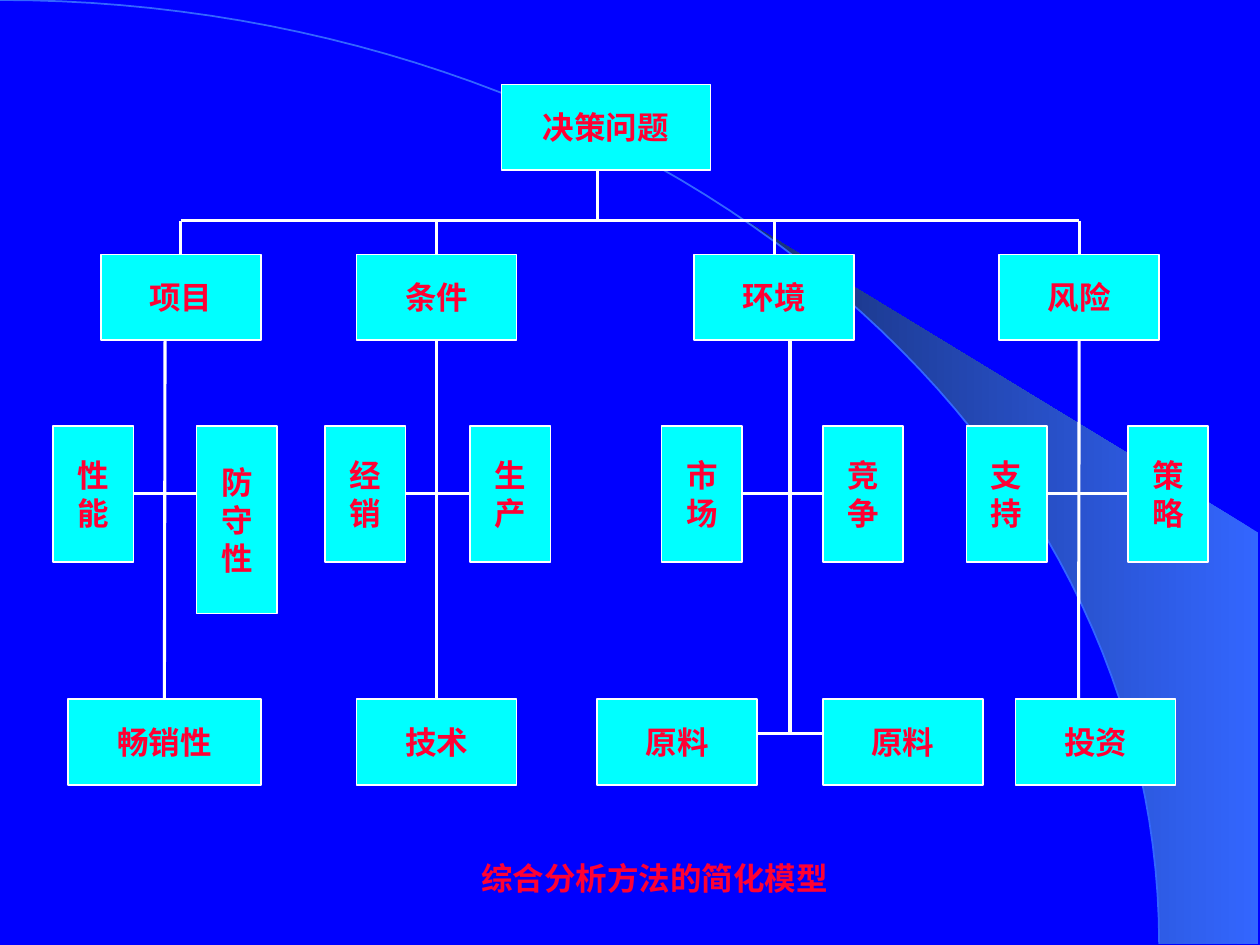
"""Builds a decision-model tree slide on a blue background with a curved sweep."""
from math import asin, cos, pi, sin

from lxml import etree
from pptx import Presentation
from pptx.dml.color import RGBColor
from pptx.enum.shapes import MSO_CONNECTOR, MSO_SHAPE
from pptx.enum.text import MSO_ANCHOR, PP_ALIGN
from pptx.oxml.ns import qn
from pptx.util import Inches, Pt

RECT, STRAIGHT = MSO_SHAPE.RECTANGLE, MSO_CONNECTOR.STRAIGHT
MIDDLE, CENTER = MSO_ANCHOR.MIDDLE, PP_ALIGN.CENTER

BLUE, SWEEP, DARK = "0000FF", "3366FF", "172F75"
CYAN, WHITE, RED = "00FFFF", "FFFFFF", "FF0033"
FONT = {"name": "Times New Roman", "size": Pt(18), "bold": True}
ARC_W, ARC_H, WEDGE_X = 9.2, 7.49, 5.89
WEDGE_RIGHT = [(9.99, 7.49), (9.99, 4.23)]

CAPTION = "综合分析方法的简化模型"
ROOT = ("决策问题", 3.98, 0.67, 1.66, 0.68)
FACTORS = [("项目", 0.8), ("条件", 2.83), ("环境", 5.51), ("风险", 7.93)]
ASPECTS = [("性能", 0.42), ("防守性", 1.56), ("经销", 2.58), ("生产", 3.73),
           ("市场", 5.25), ("竞争", 6.53), ("支持", 7.67), ("策略", 8.95)]
RESULTS = [("畅销性", 0.54, 1.53), ("技术", 2.83, 1.27), ("原料", 4.74, 1.27),
           ("原料", 6.53, 1.27), ("投资", 8.06, 1.27)]
SPINES = [(1.31, 5.55), (3.47, 5.55), (6.27, 5.82), (8.56, 5.55)]
BOX_W, BOX_H, TALL_W = 1.27, 0.68, 0.64
FACTOR_Y, ASPECT_Y, RESULT_Y = 2.02, 3.38, 5.55
ROOT_X, BUS_Y, CROSS_Y, RESULT_LINK_Y = 4.74, 1.75, 3.92, 5.82
TALL_HEIGHTS = {2: 1.08, 3: 1.49}
SNAP = Inches(0.02)

prs = Presentation()
prs.slide_width, prs.slide_height = Inches(10), Inches(7.5)
s = prs.slides.add_slide(prs.slide_layouts[6])
boxes = []


def rgb(value):
    return RGBColor.from_string(value)


def set_line(shape, color, width):
    shape.line.color.rgb = rgb(color)
    shape.line.width = Pt(width)


def write(tf, lines):
    for i, text in enumerate(lines):
        p = tf.paragraphs[0] if i == 0 else tf.add_paragraph()
        p.alignment = CENTER
        r = p.add_run()
        r.text = text
        for key, value in FONT.items():
            setattr(r.font, key, value)
        r.font.color.rgb = rgb(RED)


def arc(start, steps=60):
    angles = [start + (pi / 2 - start) * i / steps for i in range(steps + 1)]
    return [(ARC_W * sin(a), ARC_H * (1 - cos(a))) for a in angles]


def outline(points, close):
    pts = [(Inches(x), Inches(y)) for x, y in points]
    builder = s.shapes.build_freeform(*pts[0])
    builder.add_line_segments(pts[1:], close=close)
    sp = builder.convert_to_shape()
    sp.shadow.inherit = False
    return sp


def add_box(lines, x, y, w, h):
    sp = s.shapes.add_shape(RECT, Inches(x), Inches(y), Inches(w), Inches(h))
    sp.shadow.inherit = False
    sp.fill.solid()
    sp.fill.fore_color.rgb = rgb(CYAN)
    set_line(sp, WHITE, 1)
    tf = sp.text_frame
    tf.word_wrap, tf.vertical_anchor = False, MIDDLE
    write(tf, lines)
    boxes.append(sp)


def find_side(x, y):
    for sp in boxes:
        mid_x, mid_y = sp.left + sp.width // 2, sp.top + sp.height // 2
        sides = [(mid_x, sp.top), (sp.left, mid_y),
                 (mid_x, sp.top + sp.height), (sp.left + sp.width, mid_y)]
        for site, (sx, sy) in enumerate(sides):
            if abs(sx - Inches(x)) <= SNAP and abs(sy - Inches(y)) <= SNAP:
                return sp, site
    return None


def link(x1, y1, x2, y2):
    line = s.shapes.add_connector(
        STRAIGHT, Inches(x1), Inches(y1), Inches(x2), Inches(y2))
    set_line(line, WHITE, 1.75)
    etree.SubElement(line._element.spPr, qn("a:effectLst"))
    for join, end in ((line.begin_connect, (x1, y1)), (line.end_connect, (x2, y2))):
        side = find_side(*end)
        if side:
            join(*side)


s.background.fill.solid()
s.background.fill.fore_color.rgb = rgb(BLUE)

wedge = outline(arc(asin(WEDGE_X / ARC_W)) + WEDGE_RIGHT, True)
wedge.line.fill.background()
wedge.fill.gradient()
wedge.fill.gradient_angle = 180
for stop, (position, color) in zip(wedge.fill.gradient_stops, [(0, SWEEP), (1, DARK)]):
    stop.position = position
    stop.color.rgb = rgb(color)
curve = outline(arc(0), False)
curve.fill.background()
set_line(curve, SWEEP, 1)

add_box([ROOT[0]], *ROOT[1:])
for name, x in FACTORS:
    add_box([name], x, FACTOR_Y, BOX_W, BOX_H)
for name, x in ASPECTS:
    add_box(list(name), x, ASPECT_Y, TALL_W, TALL_HEIGHTS[len(name)])
for name, x, w in RESULTS:
    add_box([name], x, RESULT_Y, w, BOX_H)

centers = [x + BOX_W / 2 for _, x in FACTORS]
link(centers[0], BUS_Y, centers[-1], BUS_Y)
link(ROOT_X, ROOT[2] + ROOT[4], ROOT_X, BUS_Y)
for x in centers:
    link(x, BUS_Y, x, FACTOR_Y)
for x, bottom in SPINES:
    link(x, FACTOR_Y + BOX_H, x, bottom)
for (_, left), (_, right) in zip(ASPECTS[::2], ASPECTS[1::2]):
    link(left + TALL_W, CROSS_Y, right, CROSS_Y)
link(RESULTS[2][1] + BOX_W, RESULT_LINK_Y, RESULTS[3][1], RESULT_LINK_Y)

caption = s.shapes.add_textbox(Inches(1.82), Inches(6.77), Inches(6.75), Inches(0.4))
caption.text_frame.word_wrap = True
write(caption.text_frame, [CAPTION])

prs.save("out.pptx")
